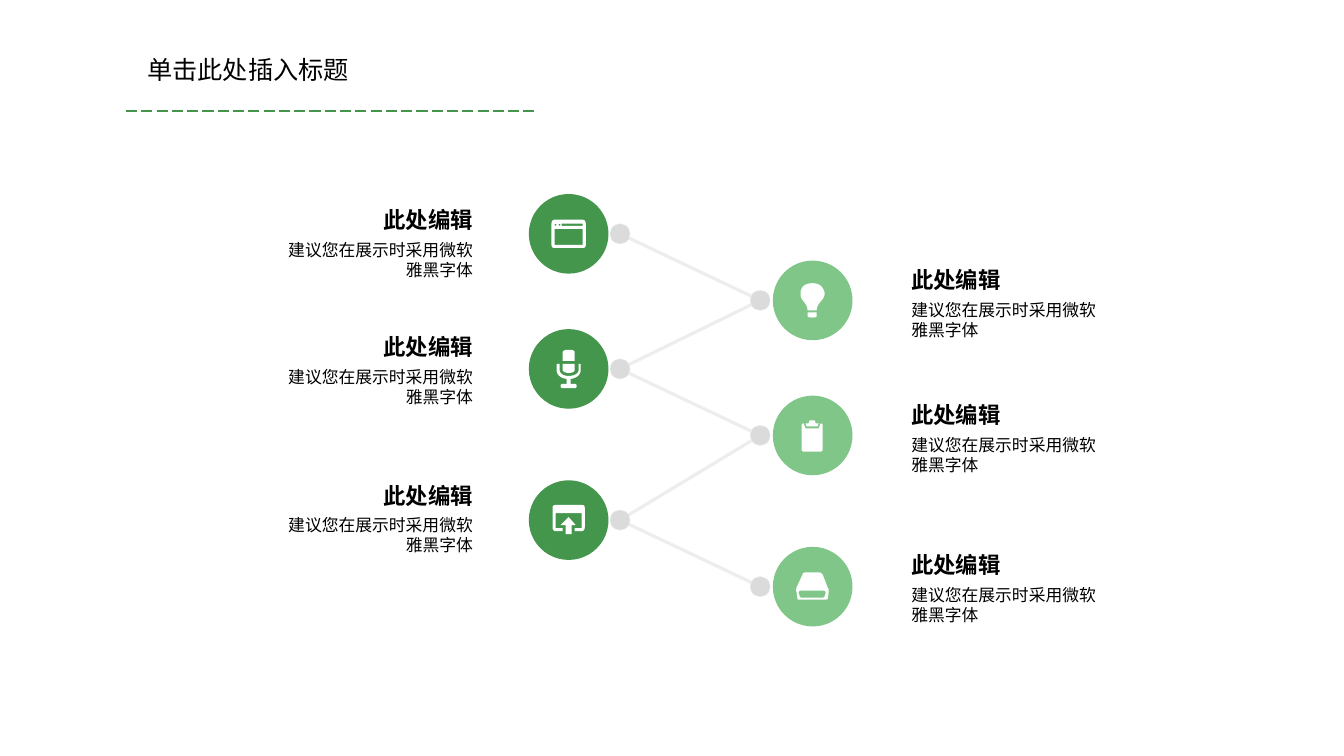
from lxml import etree
from pptx import Presentation
from pptx.dml.color import RGBColor
from pptx.enum.dml import MSO_LINE_DASH_STYLE as DASH
from pptx.enum.shapes import MSO_CONNECTOR, MSO_SHAPE
from pptx.enum.text import MSO_ANCHOR, MSO_AUTO_SIZE, PP_ALIGN
from pptx.oxml.ns import qn
from pptx.util import Inches, Pt

FONT = "Noto Sans CJK SC"
DARK_GREEN, LIGHT_GREEN, WHITE, BLACK = "43964C", "80C688", "FFFFFF", "000000"
DOT_GREY, LINE_GREY = "DBDBDB", "EDEDED"

TITLE = "单击此处插入标题"
HEADING = "此处编辑"
DETAIL = "建议您在展示时采用微软雅黑字体"

# Icons: pieces made of closed outlines, in 1/100 inch from the circle's centre.
# Two numbers are a corner, six numbers a Bezier curve; inner outlines are holes.
WINDOW = [[
    [(14, -14), (-14, -14), (-16, -14, -17, -12, -17, -10), (-17, 11),
     (-17, 13, -16, 14, -14, 14), (14, 14), (16, 14, 17, 13, 17, 11),
     (17, -10), (17, -12, 16, -14, 14, -14)],
    [(-7, -8), (14, -8), (14, -10), (-7, -10)],
    [(-14, -5), (14, -5), (14, 11), (-14, 11)],
    [(-14, -9), (-14, -10.3, -12, -10.3, -12, -9), (-12, -7.7, -14, -7.7, -14, -9)],
    [(-10, -9), (-10, -10.3, -8, -10.3, -8, -9), (-8, -7.7, -10, -7.7, -10, -9)],
]]
BULB = [
    [[(-5, 16), (-4, 17, -2, 17, 0, 17), (2, 17, 3, 17, 4, 16), (4, 12), (-5, 12)]],
    [[(4, 10), (4, 2, 12, 0, 12, -7), (11, -12, 8, -17, 0, -17),
      (-9, -17, -12, -12, -12, -7), (-13, 0, -5, 2, -5, 10)]],
]
MICROPHONE = [
    [[(12, -5), (10, -5), (10, 1), (10, 3, 8, 7, 0, 7), (-7, 7, -9, 3, -9, 1),
      (-9, -5), (-12, -5), (-12, 1), (-12, 5, -9, 9, -2, 10), (-2, 15), (-7, 15),
      (-8, 16), (-8, 18), (-7, 19), (7, 19), (8, 18), (8, 16), (7, 15), (2, 15),
      (2, 10), (9, 9, 12, 5, 12, 1)]],
    [[(0, 4), (5, 4, 6, 2, 6, 1), (6, -5), (-6, -5), (-6, 1), (-6, 2, -4, 4, 0, 4)]],
    [[(6, -16), (6, -18, 5, -19, 0, -19), (-4, -19, -6, -18, -6, -16),
      (-6, -8), (6, -8)]],
]
CLIPBOARD = [
    [[(8, -12), (6, -7), (-7, -7), (-9, -12), (-10, -12, -11, -11, -11, -10),
      (-11, 14), (-11, 15, -10, 16, -9, 16), (8, 16), (9, 16, 10, 15, 10, 14),
      (10, -10), (10, -11, 9, -12, 8, -12)]],
    [[(5, -9), (6, -12), (3, -12), (2, -15), (-3, -15), (-4, -12), (-7, -12), (-6, -9)]],
]
UPLOAD = [
    [[(13, -15), (-13, -15), (-15, -15, -16, -14, -16, -12), (-16, 7),
      (-16, 9, -15, 11, -13, 11), (-6, 11), (-6, 8), (-13, 8), (-13, -7), (13, -7),
      (13, 8), (6, 8), (6, 11), (13, 11), (15, 11, 16, 9, 16, 7), (16, -12),
      (16, -14, 15, -15, 13, -15)]],
    [[(0, -3), (-8, 5), (-3, 5), (-3, 14), (3, 14), (3, 5), (7, 5)]],
]
DRIVE = [[
    [(15, 1), (10, -12), (9, -13, 8, -14, 7, -14), (-8, -14),
     (-9, -14, -10, -13, -10, -12), (-16, 1), (-16, 2, -17, 4, -16, 5), (-15, 12),
     (-15, 13, -14, 13, -13, 13), (12, 13), (13, 13, 14, 13, 15, 12), (16, 5),
     (16, 4, 16, 2, 15, 1)],
    [(13, 6), (12, 9), (12, 10, 11, 11, 10, 11), (-11, 11), (-12, 11, -13, 10, -13, 9),
     (-14, 6), (-14, 5, -13, 4, -12, 4), (11, 4), (12, 4, 13, 5, 13, 6)],
]]

# Side, centre height, heading top, icon: from top to bottom along the zigzag
STOPS = [
    ("left", 2.32, 2.00, WINDOW),
    ("right", 2.98, 2.59, BULB),
    ("left", 3.66, 3.26, MICROPHONE),
    ("right", 4.32, 3.93, CLIPBOARD),
    ("left", 5.16, 4.73, UPLOAD),
    ("right", 5.82, 5.42, DRIVE),
]
SIDES = {
    "left": dict(circle_x=5.64, dot_x=6.15, heading_x=3.69, detail_x=2.69,
                 color=DARK_GREEN, align=PP_ALIGN.RIGHT),
    "right": dict(circle_x=8.06, dot_x=7.54, heading_x=8.94, detail_x=8.94,
                  color=LIGHT_GREEN, align=PP_ALIGN.LEFT),
}
CIRCLE_SIZE, DOT_SIZE, CURVE_STEPS = 0.79, 0.2, 8


def rgb(color):
    return RGBColor.from_string(color)


def paint(shape, fill, line=None):
    shape.shadow.inherit = False
    shape.fill.solid()
    shape.fill.fore_color.rgb = rgb(fill)
    if line:
        shape.line.color.rgb = rgb(line)
        shape.line.width = Pt(0.25)
    else:
        shape.line.fill.background()


def add_line(start, end, color, width, dash=None):
    line = slide.shapes.add_connector(
        MSO_CONNECTOR.STRAIGHT, *(Inches(v) for v in (*start, *end)))
    line.line.color.rgb = rgb(color)
    line.line.width = Pt(width)
    if dash:
        line.line.dash_style = dash
    etree.SubElement(line._element.spPr, qn("a:effectLst"))


def add_disc(kind, x, y, size, fill, line=None):
    disc = slide.shapes.add_shape(
        kind, Inches(x - size / 2), Inches(y - size / 2), Inches(size), Inches(size))
    paint(disc, fill, line)


def flatten(outline, x, y):
    """Turn corners and curves into points in EMU around the centre x, y."""
    points = []
    for step in outline:
        if len(step) == 2:
            points.append(step)
            continue
        controls = [points[-1], step[:2], step[2:4], step[4:]]
        for i in range(1, CURVE_STEPS + 1):
            t = i / CURVE_STEPS
            weights = ((1 - t) ** 3, 3 * t * (1 - t) ** 2, 3 * t * t * (1 - t), t ** 3)
            points.append(tuple(sum(w * c[axis] for w, c in zip(weights, controls))
                                for axis in (0, 1)))
    return [(Inches(x + px / 100), Inches(y + py / 100)) for px, py in points]


def add_icon(icon, x, y):
    for piece in icon:
        first, *holes = [flatten(outline, x, y) for outline in piece]
        builder = slide.shapes.build_freeform(*first[0])
        builder.add_line_segments(first[1:], close=True)
        for hole in holes:
            builder.move_to(*hole[0])
            builder.add_line_segments(hole[1:], close=True)
        paint(builder.convert_to_shape(), WHITE)


def write(box, text, size, bold=False, align=PP_ALIGN.LEFT, wrap=True):
    frame = box.text_frame
    frame.text = text
    frame_format = dict(word_wrap=wrap, auto_size=MSO_AUTO_SIZE.SHAPE_TO_FIT_TEXT,
                        vertical_anchor=MSO_ANCHOR.TOP)
    for name, value in frame_format.items():
        setattr(frame, name, value)
    paragraph = frame.paragraphs[0]
    paragraph.alignment = align
    font = paragraph.runs[0].font
    for name, value in dict(name=FONT, size=Pt(size), bold=bold).items():
        setattr(font, name, value)
    font.color.rgb = rgb(BLACK)
    east_asian = etree.SubElement(font._element, qn("a:ea"))
    east_asian.set("typeface", FONT)


def add_text(x, y, width, height, text, size, **options):
    box = slide.shapes.add_textbox(*(Inches(v) for v in (x, y, width, height)))
    write(box, text, size, **options)


deck = Presentation()
deck.slide_width, deck.slide_height = Inches(13.33), Inches(7.5)
slide = deck.slides.add_slide(deck.slide_layouts[5])

# Title with its dashed rule
title = slide.shapes.title
for name, value in dict(left=1.36, top=0.49, width=3.97, height=0.4).items():
    setattr(title, name, Inches(value))
write(title, TITLE, 18)
add_line((1.25, 1.1), (5.33, 1.1), DARK_GREEN, 1, DASH.LONG_DASH)

# Zigzag between neighbouring stops
dots = [(SIDES[side]["dot_x"], y) for side, y, _, _ in STOPS]
for start, end in zip(dots, dots[1:]):
    add_line(start, end, LINE_GREY, 2.25)

# Dot, circle, icon and text of each stop
for (side, y, heading_y, icon), dot in zip(STOPS, dots):
    place = SIDES[side]
    add_disc(MSO_SHAPE.OVAL, *dot, DOT_SIZE, DOT_GREY, LINE_GREY)
    add_disc(MSO_SHAPE.FLOWCHART_CONNECTOR, place["circle_x"], y, CIRCLE_SIZE, place["color"])
    add_icon(icon, place["circle_x"], y)
    add_text(place["heading_x"], heading_y, 1.1, 0.37, HEADING, 16,
             bold=True, align=place["align"], wrap=False)
    add_text(place["detail_x"], heading_y + 0.33, 2.1, 0.5, DETAIL, 12, align=place["align"])

deck.save("out.pptx")
